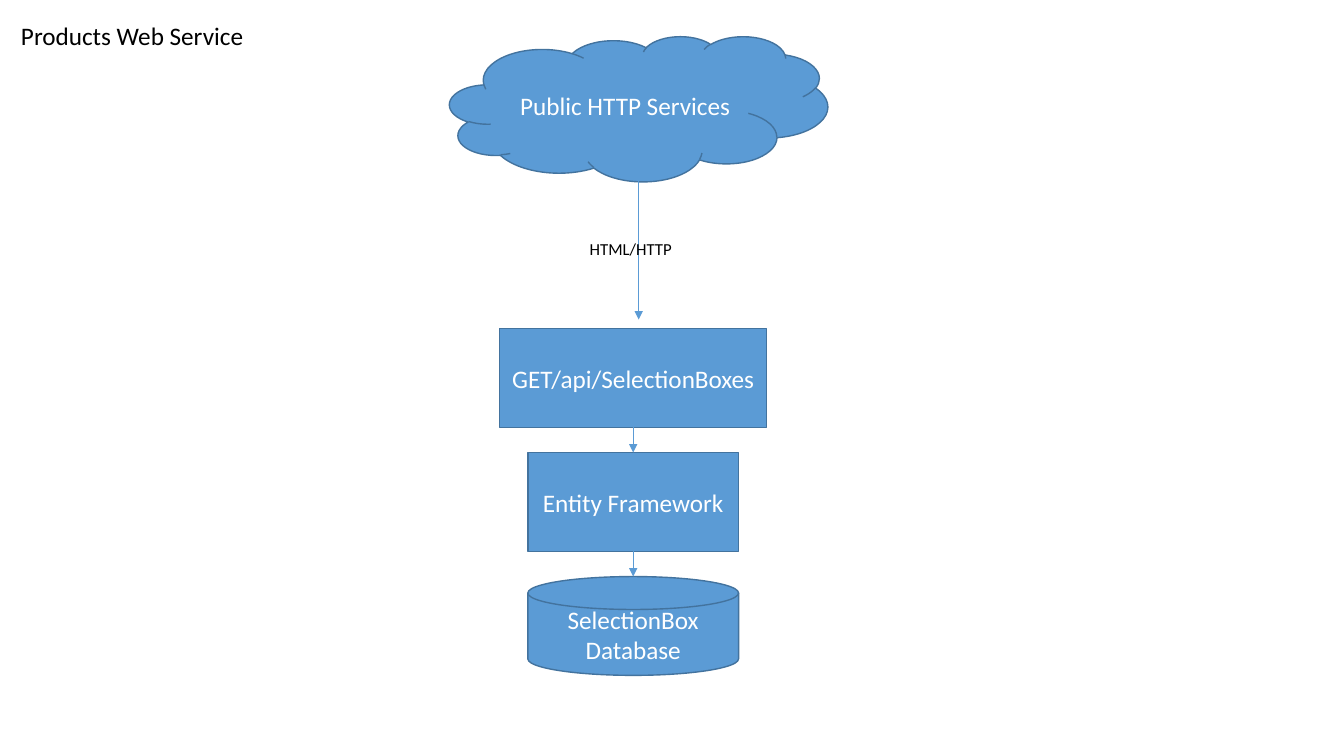
"""Build the Products Web Service architecture slide."""
import pptx
import pptx.util
import pptx.dml.color
import pptx.enum.shapes
import pptx.enum.text
import pptx.oxml.ns
from lxml import etree

Inches = pptx.util.Inches
Pt = pptx.util.Pt
SHAPES = pptx.enum.shapes.MSO_SHAPE
BLUE = pptx.dml.color.RGBColor(0x5B, 0x9B, 0xD5)
OUTLINE = pptx.dml.color.RGBColor(0x43, 0x73, 0x9E)
WHITE = pptx.dml.color.RGBColor(0xFF, 0xFF, 0xFF)
BLACK = pptx.dml.color.RGBColor(0, 0, 0)

STACK_CENTER = 6.28
STACK_TOP = 3.26
LAYER_HEIGHT = 0.98
GAP = 0.25
ROW_PITCH = LAYER_HEIGHT + GAP
CLOUD_LEFT, CLOUD_TOP, CLOUD_WIDTH, CLOUD_HEIGHT = 4.46, 0.36, 3.75, 1.44
CLOUD_CENTER = CLOUD_LEFT + CLOUD_WIDTH / 2
CLOUD_BOTTOM = CLOUD_TOP + CLOUD_HEIGHT

deck = pptx.Presentation()
deck.slide_width = Inches(13.33)
deck.slide_height = Inches(7.5)
slide = deck.slides.add_slide(deck.slide_layouts[6])


def write(holder, text, size, color, align):
    holder.text_frame.word_wrap = True
    paragraph = holder.text_frame.paragraphs[0]
    paragraph.text = text
    paragraph.alignment = align
    paragraph.font.name = "Calibri"
    paragraph.font.size = Pt(size)
    paragraph.font.color.rgb = color


layers = [
    ("GET/api/SelectionBoxes", SHAPES.RECTANGLE, 2.65),
    ("Entity Framework", SHAPES.RECTANGLE, 2.09),
    ("SelectionBox Database", SHAPES.FLOWCHART_MAGNETIC_DISK, 2.09),
]
components = [("Public HTTP Services", SHAPES.CLOUD,
               CLOUD_LEFT, CLOUD_TOP, CLOUD_WIDTH, CLOUD_HEIGHT)]
calls = [(CLOUD_CENTER, CLOUD_BOTTOM, 3.17)]
for row, (name, outline, width) in enumerate(layers):
    top = STACK_TOP + row * ROW_PITCH
    components.append((name, outline, STACK_CENTER - width / 2, top, width, LAYER_HEIGHT))
    if row:
        calls.append((STACK_CENTER, top - GAP, top))

for name, outline, left, top, width, height in components:
    component = slide.shapes.add_shape(
        outline, Inches(left), Inches(top), Inches(width), Inches(height))
    component.shadow.inherit = False
    component.fill.solid()
    component.fill.fore_color.rgb = BLUE
    component.line.color.rgb = OUTLINE
    component.line.width = Pt(1)
    component.text_frame.vertical_anchor = pptx.enum.text.MSO_ANCHOR.MIDDLE
    write(component, name, 18, WHITE, pptx.enum.text.PP_ALIGN.CENTER)

for x, start, end in calls:
    call = slide.shapes.add_connector(
        pptx.enum.shapes.MSO_CONNECTOR.STRAIGHT,
        Inches(x), Inches(start), Inches(x), Inches(end))
    call.line.color.rgb = BLUE
    call.line.width = Pt(0.5)
    etree.SubElement(call.line._get_or_add_ln(),
                     pptx.oxml.ns.qn("a:tailEnd"), type="triangle")
    etree.SubElement(call._element.spPr, pptx.oxml.ns.qn("a:effectLst"))

for text, size, left, top, width, height in [
    ("HTML/HTTP", 12, 5.75, 2.32, 1.16, 0.3),
    ("Products Web Service", 18, 0.11, 0.15, 2.42, 0.4),
]:
    caption = slide.shapes.add_textbox(
        Inches(left), Inches(top), Inches(width), Inches(height))
    caption.text_frame.auto_size = pptx.enum.text.MSO_AUTO_SIZE.SHAPE_TO_FIT_TEXT
    write(caption, text, size, BLACK, pptx.enum.text.PP_ALIGN.LEFT)

deck.save("out.pptx")
